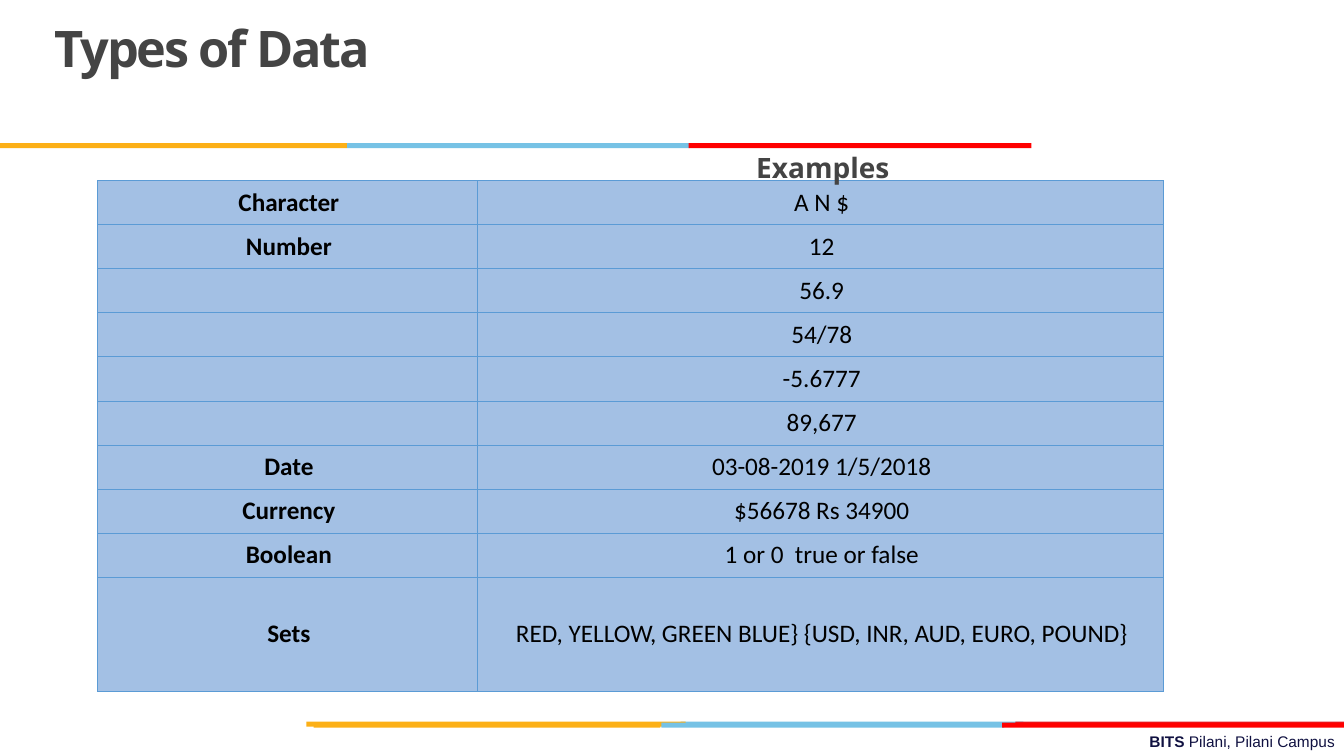
from lxml import etree
from pptx import Presentation
from pptx import util as u
from pptx.dml.color import RGBColor
from pptx.enum import shapes, text
from pptx.oxml.ns import qn

COLORS = {"amber": "FCB017", "sky": "76C2E5", "crimson": "E31C24", "red": "FF0000",
          "navy": "101141", "gray": "444444", "black": "000000",
          "cell": "A3C0E4", "border": "5B9BD5"}


def style(r, font, size, color, bold):
    r.font.name, r.font.size, r.font.bold = font, u.Pt(size), bold
    r.font.color.rgb = RGBColor.from_string(COLORS[color])


def add_border(cell, side):
    ln = etree.SubElement(cell._tc.get_or_add_tcPr(), qn("a:" + side), w=str(u.Pt(0.5)))
    fill = etree.SubElement(ln, qn("a:solidFill"))
    etree.SubElement(fill, qn("a:srgbClr"), val=COLORS["border"])


prs = Presentation()
prs.slide_width, prs.slide_height = u.Inches(13.33), u.Inches(7.5)
s = prs.slides.add_slide(prs.slide_layouts[5])

# Title
title = s.shapes.title
title.left, title.top = u.Inches(0.44), u.Inches(0.15)
title.width, title.height = u.Inches(9.22), u.Inches(1.25)
tf = title.text_frame
tf.text = "Types of Data"
tf.auto_size = text.MSO_AUTO_SIZE.NONE
tf.vertical_anchor = text.MSO_ANCHOR.TOP
tf.margin_top = u.Inches(0.12)
p = tf.paragraphs[0]
p.alignment, p.line_spacing = text.PP_ALIGN.LEFT, u.Pt(36)
r = p.runs[0]
style(r, "Open Sans", 36, "gray", True)
r.font._element.set("spc", "-150")

# Footer text
footer = s.shapes.add_textbox(u.Inches(4.78), u.Inches(7.21), u.Inches(8.56), u.Inches(0.29))
tf = footer.text_frame
tf.word_wrap = True
p = tf.paragraphs[0]
p.alignment = text.PP_ALIGN.RIGHT
for words, bold in (("BITS ", True), ("Pilani, Pilani Campus", False)):
    r = p.add_run()
    r.text = words
    style(r, "Arial", 11, "navy", bold)

# Tricolour rules at the foot and under the title
bars = [(6.75, 7.16, 3.4, "sky"), (10.07, 7.16, 3.26, "crimson"), (3.04, 7.16, 3.76, "amber"),
        (6.56, 7.17, 3.4, "sky"), (3.11, 7.17, 3.44, "amber"), (9.94, 7.17, 3.4, "red"),
        (3.44, 1.42, 3.4, "sky"), (0, 1.42, 3.44, "amber"), (6.83, 1.42, 3.4, "red")]
for left, top, width, color in bars:
    sp = s.shapes.add_shape(shapes.MSO_SHAPE.RECTANGLE, u.Inches(left), u.Inches(top),
                            u.Inches(width), u.Inches(0.05))
    sp.shadow.inherit = False
    sp.fill.solid()
    sp.fill.fore_color.rgb = RGBColor.from_string(COLORS[color])
    sp.line.fill.background()

# Table of data types
rows = [("Character", "A N $"), ("Number", "12"), ("", "56.9"), ("", "54/78"),
        ("", "-5.6777"), ("", "89,677"), ("Date", "03-08-2019 1/5/2018"),
        ("Currency", "$56678 Rs 34900"), ("Boolean", "1 or 0  true or false"),
        ("Sets", "RED, YELLOW, GREEN BLUE} {USD, INR, AUD, EURO, POUND}")]
height, last_height = 5.07, 1.13
table = s.shapes.add_table(len(rows), 2, u.Inches(0.97), u.Inches(1.79),
                           u.Inches(10.57), u.Inches(height)).table
table.first_row = table.horz_banding = False
table.columns[0].width, table.columns[1].width = u.Inches(3.76), u.Inches(6.81)
for row in table.rows:
    row.height = u.Inches((height - last_height) / (len(rows) - 1))
table.rows[len(rows) - 1].height = u.Inches(last_height)

for i, row in enumerate(rows):
    for j, words in enumerate(row):
        cell = table.cell(i, j)
        for side in ("lnL", "lnR", "lnT", "lnB"):
            add_border(cell, side)
        cell.fill.solid()
        cell.fill.fore_color.rgb = RGBColor.from_string(COLORS["cell"])
        cell.vertical_anchor = text.MSO_ANCHOR.MIDDLE
        cell.margin_left, cell.margin_right = u.Inches(0.1), u.Inches(0.07)
        cell.margin_top = cell.margin_bottom = u.Inches(0.04)
        if words:
            cell.text_frame.text = words
            p = cell.text_frame.paragraphs[0]
            p.alignment = text.PP_ALIGN.CENTER
            style(p.runs[0], "Calibri", 18, "black", j == 0)

# Heading over the examples column
heading = s.shapes.add_textbox(u.Inches(7.5), u.Inches(1.49), u.Inches(1.4), u.Inches(0.34))
tf = heading.text_frame
tf.text = "Examples"
tf.margin_left = tf.margin_right = tf.margin_top = tf.margin_bottom = 0
tf.vertical_anchor = text.MSO_ANCHOR.MIDDLE
tf.word_wrap = True
style(tf.paragraphs[0].runs[0], "Open Sans", 20, "gray", True)

prs.save("out.pptx")
